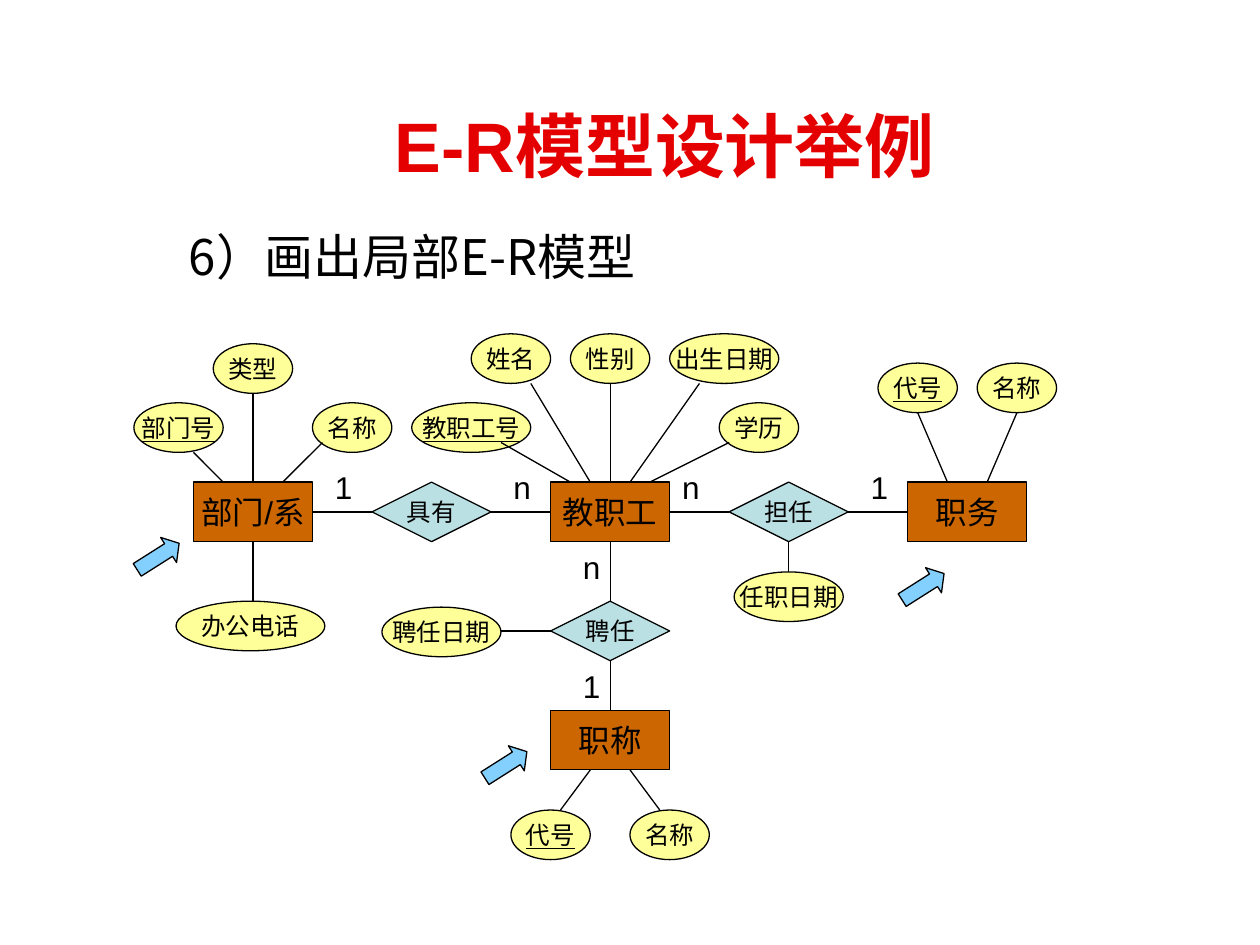
from lxml import etree
from pptx import Presentation, util as u
from pptx.dml.color import RGBColor
from pptx.enum import shapes, text
from pptx.oxml.ns import qn

COLORS = {"title": "E40000", "ink": "000000", "entity": "CC6600",
          "relation": "BBE0E3", "attribute": "FFFF99", "arrow": "83D0FF"}
LATIN, CJK = "Arial", "Noto Sans CJK SC"
TOP, LEFT, BOTTOM, RIGHT = range(4)

# All lengths are centimetres; nodes are placed by their centres.
COLUMNS = [5.1 + 3.6 * i for i in range(5)]
MAIN_ROW, HIRE_ROW, RANK_ROW = 10.32, 12.72, 14.92
NODE_SIZE = (2.4, 1.2)
ATTRIBUTE_HEIGHT = 1.0

ENTITIES = [("部门/系", COLUMNS[0], MAIN_ROW), ("教职工", COLUMNS[2], MAIN_ROW),
            ("职务", COLUMNS[4], MAIN_ROW), ("职称", COLUMNS[2], RANK_ROW)]
RELATIONS = [("具有", COLUMNS[1], MAIN_ROW), ("担任", COLUMNS[3], MAIN_ROW),
             ("聘任", COLUMNS[2], HIRE_ROW)]
NODE_LINKS = [("部门/系", RIGHT, "具有", LEFT), ("具有", RIGHT, "教职工", LEFT),
              ("教职工", RIGHT, "担任", LEFT), ("担任", RIGHT, "职务", LEFT),
              ("教职工", BOTTOM, "聘任", TOP), ("聘任", BOTTOM, "职称", TOP)]
CARDINALITIES = [("1", 6.5, 9.32), ("n", 10.1, 9.32), ("n", 13.5, 9.32),
                 ("1", 17.3, 9.32), ("n", 11.5, 10.92), ("1", 11.5, 13.33)]

# owner, owner side: (name, centre x, centre y, width, is key,
#                     link start from centre, link end along the owner's side)
ATTRIBUTES = {
    ("部门/系", TOP): [
        ("部门号", 3.6, 8.62, 1.8, True, (0.3, 0.5), -0.6),
        ("类型", 5.1, 7.43, 1.6, False, (0, 0.5), 0),
        ("名称", 7.1, 8.62, 1.6, False, (-0.6, 0.3), 0.6)],
    ("部门/系", BOTTOM): [("办公电话", 5.05, 12.62, 3.0, False, (0.05, -0.5), 0)],
    ("教职工", TOP): [
        ("教职工号", 9.5, 8.62, 2.4, True, (0.6, 0.3), -0.8),
        ("姓名", 10.3, 7.23, 1.6, False, (0.4, 0.5), -0.4),
        ("性别", 12.3, 7.23, 1.6, False, (0, 0.5), 0),
        ("出生日期", 14.6, 7.23, 2.2, False, (-0.5, 0.5), 0.4),
        ("学历", 15.3, 8.62, 1.6, False, (-0.6, 0.3), 0.8)],
    ("担任", BOTTOM): [("任职日期", 15.9, 12.03, 2.2, False, (0, -0.5), 0)],
    ("聘任", LEFT): [("聘任日期", 8.9, 12.74, 2.4, False, (1.2, -0.02), 0)],
    ("职务", TOP): [
        ("代号", 18.5, 7.82, 1.6, True, (0, 0.5), -0.4),
        ("名称", 20.5, 7.82, 1.6, False, (0, 0.5), 0.4)],
    ("职称", BOTTOM): [
        ("代号", 11.1, 16.83, 1.6, True, (0.2, -0.5), -0.4),
        ("名称", 13.5, 16.83, 1.6, False, (-0.2, -0.5), 0.4)],
}
ARROWS = [(3.19, 11.22), (18.61, 11.83), (10.2, 15.42)]


def color(name):
    return RGBColor.from_string(COLORS[name])


def write(shape, words, ink="ink", align=None, anchor=None, wrap=True, **font):
    frame = shape.text_frame
    frame.word_wrap = wrap
    if anchor is not None:
        frame.vertical_anchor = anchor
    paragraph = frame.paragraphs[0]
    paragraph.alignment = align
    run = paragraph.add_run()
    run.text = words
    for key, value in {"name": LATIN, **font}.items():
        setattr(run.font, key, value)
    run.font.color.rgb = color(ink)
    east_asian = etree.SubElement(run.font._element, qn("a:ea"))
    east_asian.set("typeface", CJK)


def add_figure(slide, preset, center, size, fill):
    """Add an outlined preset shape placed by its centre."""
    corner = [c - s / 2 for c, s in zip(center, size)]
    shape = slide.shapes.add_shape(preset, *(u.Cm(v) for v in (*corner, *size)))
    shape.shadow.inherit = False
    shape.fill.solid()
    shape.fill.fore_color.rgb = color(fill)
    shape.line.color.rgb = color("ink")
    shape.line.width = u.Pt(0.75)
    return shape


def add_node(slide, preset, center, size, fill, words, points, underline=None):
    shape = add_figure(slide, preset, center, size, fill)
    write(shape, words, align=text.PP_ALIGN.CENTER, anchor=text.MSO_ANCHOR.MIDDLE,
          wrap=False, size=u.Pt(points), underline=underline)
    return shape


def add_line(slide, start=(0, 0), end=(0, 0)):
    line = slide.shapes.add_connector(
        shapes.MSO_CONNECTOR.STRAIGHT, *(u.Cm(v) for v in (*start, *end)))
    line.line.color.rgb = color("ink")
    line.line.width = u.Pt(0.75)
    etree.SubElement(line._element.spPr, qn("a:effectLst"))
    return line


def add_text(slide, box, words, **style):
    shape = slide.shapes.add_textbox(*(u.Cm(v) for v in box))
    write(shape, words, **style)


def add_attributes(slide, nodes, centers):
    for (owner, side), attributes in ATTRIBUTES.items():
        owner_x, owner_y = centers[owner]
        edge_y = owner_y + NODE_SIZE[1] / 2 * (-1 if side == TOP else 1)
        for name, x, y, width, is_key, (dx, dy), along in attributes:
            add_node(slide, shapes.MSO_SHAPE.OVAL, (x, y), (width, ATTRIBUTE_HEIGHT),
                     "attribute", name, 14, is_key or None)
            line = add_line(slide, (x + dx, y + dy), (owner_x + along, edge_y))
            if along == 0:
                line.end_connect(nodes[owner], side)


def main():
    presentation = Presentation()
    presentation.slide_width, presentation.slide_height = u.Cm(25.4), u.Cm(19.05)
    slide = presentation.slides.add_slide(presentation.slide_layouts[5])

    title = slide.shapes.title
    for key, value in {"left": 3.56, "top": 1.9, "width": 19.68, "height": 2.03}.items():
        setattr(title, key, u.Cm(value))
    write(title, "E-R模型设计举例", "title", text.PP_ALIGN.CENTER,
          text.MSO_ANCHOR.MIDDLE, size=u.Pt(40), bold=True)
    add_text(slide, (3.56, 4.45, 14.6, 2.08), "6）画出局部E-R模型",
             name=CJK, size=u.Pt(28))

    nodes, centers = {}, {}
    for preset, fill, points, group in (
            (shapes.MSO_SHAPE.RECTANGLE, "entity", 18, ENTITIES),
            (shapes.MSO_SHAPE.DIAMOND, "relation", 14, RELATIONS)):
        for name, *center in group:
            centers[name] = center
            nodes[name] = add_node(slide, preset, center, NODE_SIZE, fill, name, points)

    for first, first_side, second, second_side in NODE_LINKS:
        line = add_line(slide)
        line.begin_connect(nodes[first], first_side)
        line.end_connect(nodes[second], second_side)

    for words, left, top in CARDINALITIES:
        add_text(slide, (left, top, 0.8, 1.02), words, size=u.Pt(18))
    add_attributes(slide, nodes, centers)

    for center in ARROWS:
        arrow = add_figure(slide, shapes.MSO_SHAPE.RIGHT_ARROW, center, (1.0, 0.6), "arrow")
        arrow.adjustments[1] = 0.42
        arrow.rotation = 327.6

    presentation.save("out.pptx")


if __name__ == "__main__":
    main()
